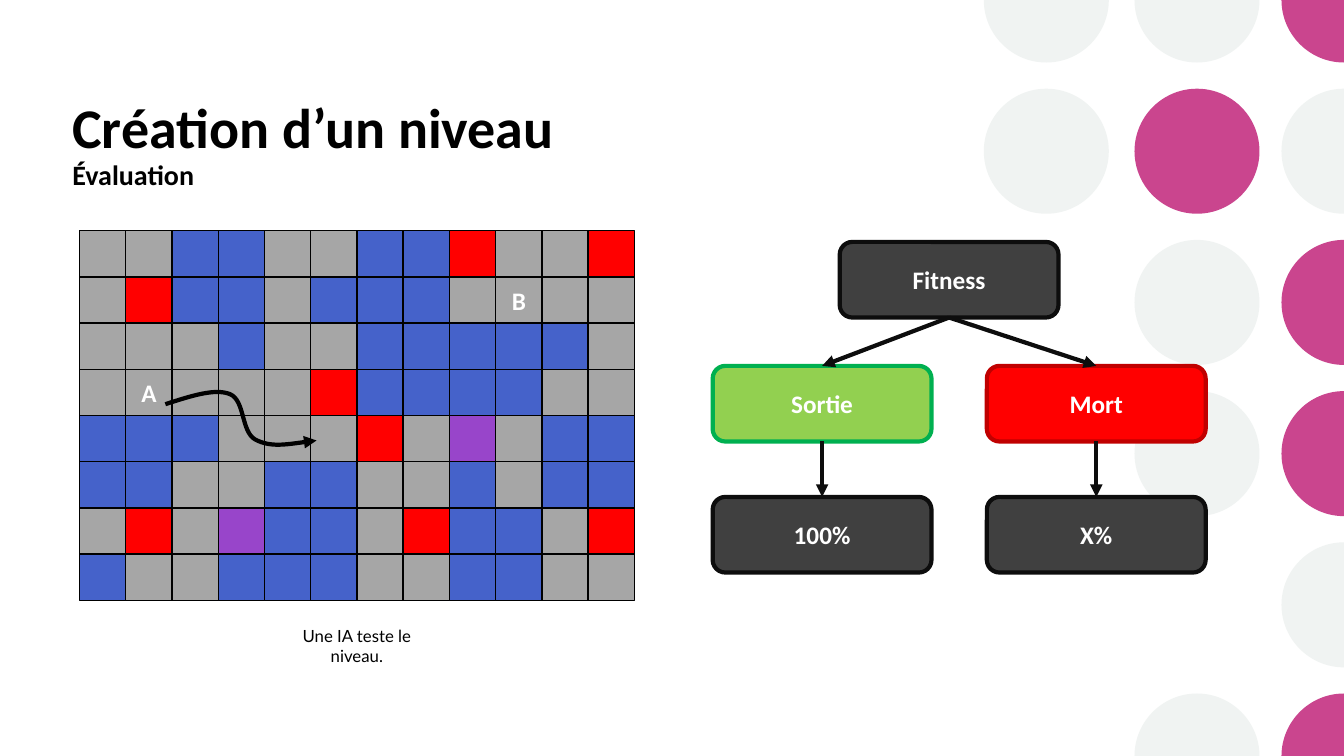
import pptx
import pptx.dml.color
import pptx.enum.shapes
import pptx.enum.text
import pptx.oxml
import pptx.oxml.ns
import pptx.util

RGBColor = pptx.dml.color.RGBColor
MSO_SHAPE = pptx.enum.shapes.MSO_SHAPE
MSO_ANCHOR = pptx.enum.text.MSO_ANCHOR
PP_ALIGN = pptx.enum.text.PP_ALIGN
qn = pptx.oxml.ns.qn

BLACK = RGBColor(0x00, 0x00, 0x00)
WHITE = RGBColor(0xFF, 0xFF, 0xFF)
MIST = RGBColor(0xF0, 0xF3, 0xF2)
PINK = RGBColor(0xCA, 0x45, 0x8E)
FLOOR = RGBColor(0xA6, 0xA6, 0xA6)
WALL = RGBColor(0x45, 0x62, 0xCA)
RED = RGBColor(0xFF, 0x00, 0x00)
PURPLE = RGBColor(0x98, 0x45, 0xCA)
CHARCOAL = RGBColor(0x40, 0x40, 0x40)
INK = RGBColor(0x0D, 0x0D, 0x0D)
LIME = RGBColor(0x92, 0xD0, 0x50)
GREEN = RGBColor(0x00, 0xB0, 0x50)
DARK_RED = RGBColor(0xC0, 0x00, 0x00)

WIDTH = pptx.util.Inches(13.33)
HEIGHT = pptx.util.Inches(7.5)

DOT_ROWS = ["LLP", "LPL", " LP", " LP", "  L", " LP"]
DOT_FILLS = {"L": MIST, "P": PINK}
DOT_WIDTH, DOT_HEIGHT = 4.65, 8.27
ARC_PULL = 0.55
COMPASS = [(1, 0), (0, 1), (-1, 0), (0, -1), (1, 0)]

LEVEL_ROWS = [
    "..##..##x..x",
    ".x##.###.B..",
    "...#..#####.",
    ".A...x####..",
    "###...x.o.##",
    "##..##..#.##",
    ".x.o##.x##.x",
    "#..###..##..",
]
LEVEL_FILLS = {"#": WALL, "x": RED, "o": PURPLE}
CELL_WIDTH, CELL_HEIGHT = 3.44, 6.11

TRAIL = [
    (12.3, 53.47), (14.18, 52.4), (15.98, 51.33), (17.1, 52.13), (18.23, 52.93),
    (17.93, 57.07), (18.98, 58.13), (20.1, 59.2), (21.83, 58.67), (23.55, 58.27),
]


def across(columns):
    return pptx.util.Emu(round(WIDTH * columns / 100))


def down(rows):
    return pptx.util.Emu(round(HEIGHT * rows / 100))


def area(left, top, width, height):
    return across(left), down(top), across(width), down(height)


def write_text(box, *lines, sizes=(18,), font="Calibri", color=WHITE, bold=True,
               align=PP_ALIGN.CENTER, anchor=MSO_ANCHOR.MIDDLE, spacing=1.0):
    frame = box.text_frame
    frame.word_wrap = True
    frame.vertical_anchor = anchor
    para = frame.paragraphs[0]
    para.alignment = align
    para.line_spacing = spacing
    for index, (line, size) in enumerate(zip(lines, sizes)):
        if index:
            para.add_line_break()
        span = para.add_run()
        span.text = line
        span.font.name = font
        span.font.size = pptx.util.Pt(size)
        span.font.bold = bold
        span.font.color.rgb = color


def style_shape(shape, fill=None, line=None, weight=1):
    shape.shadow.inherit = False
    if fill is None:
        shape.fill.background()
    else:
        shape.fill.solid()
        shape.fill.fore_color.rgb = fill
    if line is None:
        shape.line.fill.background()
    else:
        shape.line.color.rgb = line
        shape.line.width = pptx.util.Pt(weight)


def add_arrowhead(shape):
    outline = shape._element.spPr.find(qn("a:ln"))
    head = pptx.oxml.parse_xml(f'<a:tailEnd {pptx.oxml.ns.nsdecls("a")} type="triangle"/>')
    outline.append(head)


def add_curve(page, points, close=False):
    vertices = [(across(x), down(y)) for x, y in points]
    builder = page.shapes.build_freeform(*vertices[0])
    builder.add_line_segments(vertices[1:], close=close)
    shape = builder.convert_to_shape()
    segments = list(shape._element.iter(qn("a:lnTo")))
    for start in range(0, len(segments) - 2, 3):
        curve = pptx.oxml.parse_xml(f'<a:cubicBezTo {pptx.oxml.ns.nsdecls("a")}/>')
        segments[start].addprevious(curve)
        for segment in segments[start:start + 3]:
            curve.append(segment[0])
            segment.getparent().remove(segment)
    return shape


def add_cut_dot(page, x, y, quarters):
    x = min(x, 100)
    points = []
    for quarter in quarters:
        (ax, ay), (bx, by) = COMPASS[quarter:quarter + 2]
        arc = [(ax, ay), (ax + ARC_PULL * bx, ay + ARC_PULL * by),
               (bx + ARC_PULL * ax, by + ARC_PULL * ay), (bx, by)]
        points += [(x + DOT_WIDTH * dx, y + DOT_HEIGHT * dy)
                   for dx, dy in (arc[1:] if points else arc)]
    return add_curve(page, points + [(x, y)], close=True)


def add_dot(page, x, y, fill):
    quarters = [0, 1, 2, 3]
    if x + DOT_WIDTH > 100:
        quarters = [1, 2]
    if y == 0:
        quarters = [quarter for quarter in quarters if quarter < 2]
    if y == 100:
        quarters = [quarter for quarter in quarters if quarter >= 2]
    if len(quarters) == 4:
        dot = page.shapes.add_shape(MSO_SHAPE.OVAL, *area(
            x - DOT_WIDTH, y - DOT_HEIGHT, 2 * DOT_WIDTH, 2 * DOT_HEIGHT))
    else:
        dot = add_cut_dot(page, x, y, quarters)
    style_shape(dot, fill)


def add_dots(page):
    for row, marks in enumerate(DOT_ROWS):
        for column, mark in enumerate(marks):
            if mark in DOT_FILLS:
                add_dot(page, 77.85 + 11.21 * column, 20 * row, DOT_FILLS[mark])


def add_level(page):
    for row, marks in enumerate(LEVEL_ROWS):
        for column, mark in enumerate(marks):
            cell = page.shapes.add_shape(MSO_SHAPE.RECTANGLE, *area(
                5.92 + column * CELL_WIDTH, 30.53 + row * CELL_HEIGHT, CELL_WIDTH, CELL_HEIGHT))
            style_shape(cell, LEVEL_FILLS.get(mark, FLOOR), BLACK)
            if mark in "AB":
                write_text(cell, mark)


def add_node(page, label, left, top, fill=CHARCOAL, line=INK):
    node = page.shapes.add_shape(MSO_SHAPE.ROUNDED_RECTANGLE, *area(left, top, 16.28, 10))
    style_shape(node, fill, line, weight=3)
    write_text(node, label)
    return node


def add_arrow(page, source, target):
    arrow = page.shapes.add_connector(pptx.enum.shapes.MSO_CONNECTOR.STRAIGHT, 0, 0, 0, 0)
    arrow.begin_connect(source, 2)
    arrow.end_connect(target, 0)
    arrow.line.color.rgb = INK
    arrow.line.width = pptx.util.Pt(3)
    add_arrowhead(arrow)
    arrow._element.spPr.append(
        pptx.oxml.parse_xml(f'<a:effectLst {pptx.oxml.ns.nsdecls("a")}/>'))


def add_fitness_tree(page):
    fitness = add_node(page, "Fitness", 62.48, 32)
    success = add_node(page, "Sortie", 53.03, 48.4, LIME, GREEN)
    death = add_node(page, "Mort", 73.43, 48.4, RED, DARK_RED)
    full_score = add_node(page, "100%", 53.03, 65.73)
    partial_score = add_node(page, "X%", 73.43, 65.73)
    for source, target in [(fitness, success), (fitness, death),
                           (success, full_score), (death, partial_score)]:
        add_arrow(page, source, target)


def main():
    deck = pptx.Presentation()
    deck.slide_width, deck.slide_height = WIDTH, HEIGHT
    page = deck.slides.add_slide(deck.slide_layouts[6])
    add_dots(page)
    title = page.shapes.add_textbox(*area(4.65, 11.2, 60.15, 18.53))
    title.text_frame.margin_top = down(2.1)
    write_text(title, "Création d’un niveau", "Évaluation", sizes=(40, 20), color=BLACK,
               align=PP_ALIGN.LEFT, anchor=MSO_ANCHOR.TOP, spacing=0.9)
    add_level(page)
    caption = page.shapes.add_textbox(*area(19.8, 82.13, 13.5, 4))
    write_text(caption, "Une IA teste le niveau.", sizes=(12,), font="Lato", color=BLACK,
               bold=False, anchor=MSO_ANCHOR.TOP)
    trail = add_curve(page, TRAIL)
    style_shape(trail, line=BLACK, weight=3)
    add_arrowhead(trail)
    add_fitness_tree(page)
    deck.save("out.pptx")


if __name__ == "__main__":
    main()
